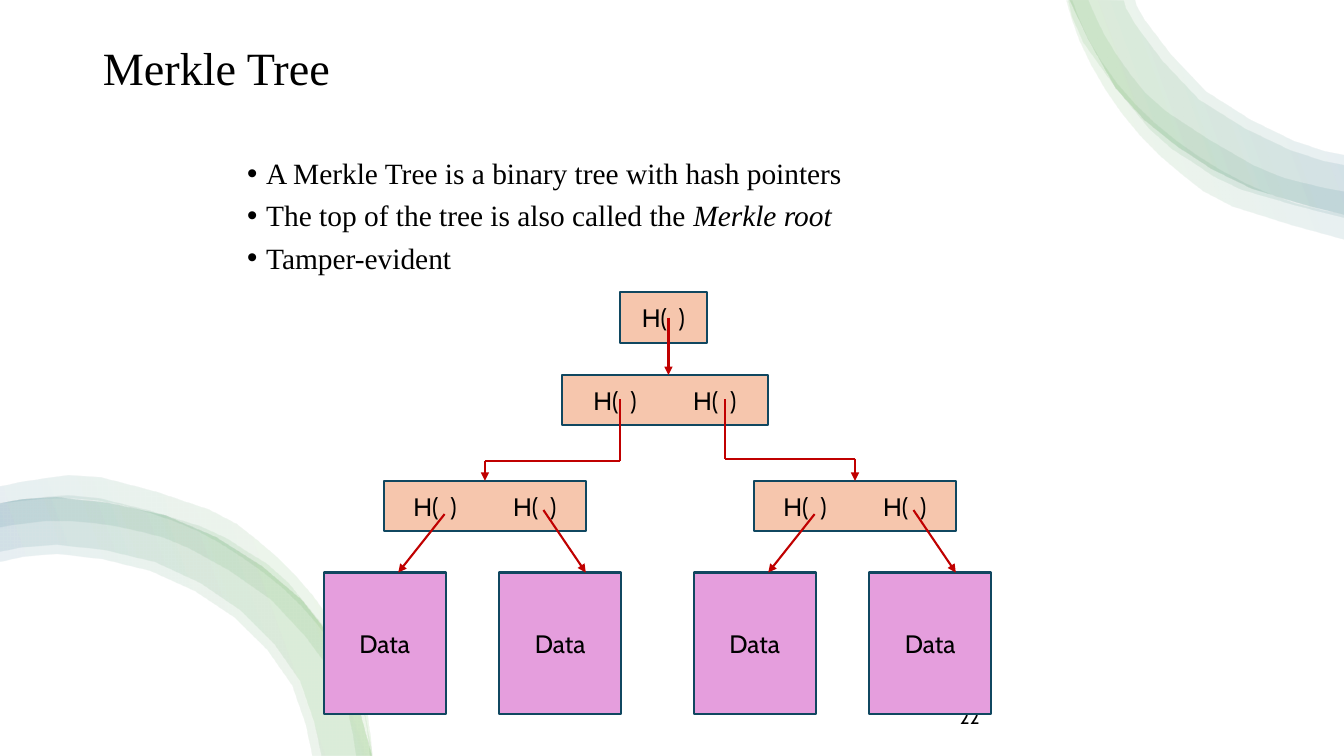
from lxml import etree
from pptx import Presentation
from pptx import util as u
from pptx.dml.color import RGBColor
from pptx.enum import shapes, text
from pptx.oxml import ns

BLACK = RGBColor(0x00, 0x00, 0x00)
HASH_FILL = RGBColor(0xF6, 0xC6, 0xAD)
DATA_FILL = RGBColor(0xE5, 0x9E, 0xDD)
BORDER = RGBColor(0x10, 0x47, 0x60)
POINTER = RGBColor(0xC0, 0x00, 0x00)
SWIRL_STOPS = [(2, "FFFFFF"), (16, "4EA72E"), (85, "156082"), (100, "FFFFFF")]
SERIF, SANS = "Times New Roman", "Cabin"
HASH = "H(  )"
HASH_HEIGHT, HASH_STEP, HASH_PAIR_WIDTH = 0.5, 0.99, 1.42

# Each swirl layer is an outer edge and an inner edge, both smooth
TOP_OUTER = [(10.61, 0), (11.07, 0.88), (11.67, 1.45), (12.41, 1.87), (13.33, 2.13)]
TOP_RIGHT_SWIRL = [
    ([(10.58, 0.01), (10.71, 0.41), (10.97, 0.9), (11.31, 1.35), (11.73, 1.74),
      (12.22, 2.05), (13.33, 2.38)],
     [(13.33, 2.13), (12.85, 2.02), (12.35, 1.82), (11.88, 1.55), (11.45, 1.22),
      (11.08, 0.83), (10.79, 0.38), (10.64, 0.01)]),
    (TOP_OUTER,
     [(13.33, 1.54), (12.83, 1.4), (11.96, 0.91), (11.36, 0.21), (11.26, 0)]),
    ([(10.6, 0.01), (10.75, 0.43), (11.4, 1.28), (11.83, 1.61), (12.31, 1.88),
      (13.33, 2.16)],
     [(13.33, 1.9), (12.91, 1.81), (12.43, 1.64), (11.57, 1.11), (11.22, 0.75),
      (10.95, 0.34), (10.8, 0.01)]),
    (TOP_OUTER,
     [(13.33, 1.64), (12.79, 1.49), (11.89, 0.99), (11.27, 0.26), (11.15, 0.01)]),
]
BOTTOM_OUTER = [(3.68, 7.5), (3.31, 6.37), (2.59, 5.62), (1.64, 5.12),
                (0.56, 4.94), (0, 5)]
BOTTOM_LEFT_SWIRL = [
    (BOTTOM_OUTER,
     [(0, 5.58), (0.56, 5.5), (1.49, 5.67), (2.32, 6.13), (2.89, 6.8), (3.09, 7.5)]),
    (BOTTOM_OUTER,
     [(0, 5.48), (0.56, 5.41), (1.53, 5.58), (2.38, 6.06), (2.97, 6.76), (3.18, 7.5)]),
    ([(3.68, 7.5), (3.63, 7.06), (3.46, 6.59), (2.85, 5.78), (2.44, 5.47),
      (1.98, 5.22), (0.97, 4.94), (0.44, 4.93), (0, 4.99)],
     [(0, 5.23), (0.45, 5.17), (0.94, 5.19), (1.41, 5.28), (1.87, 5.44),
      (2.68, 5.95), (3.28, 6.67), (3.45, 7.1), (3.52, 7.5)]),
    ([(3.69, 7.5), (3.5, 6.61), (3.26, 6.14), (2.93, 5.72), (2.53, 5.35),
      (2.07, 5.06), (1, 4.74), (0.43, 4.75), (0, 4.83)],
     [(0, 5), (0.45, 4.95), (0.97, 4.97), (1.47, 5.09), (1.95, 5.27),
      (2.39, 5.53), (2.8, 5.84), (3.15, 6.21), (3.43, 6.64), (3.61, 7.11),
      (3.66, 7.5)]),
]


def add_xml(parent, tag, **attributes):
    return etree.SubElement(parent, ns.qn(tag), **attributes)


def write(paragraph, words, size=18, font=SANS, italic=False):
    run = paragraph.add_run()
    run.text = words
    run.font.size, run.font.name, run.font.italic = u.Pt(size), font, italic
    run.font.color.rgb = BLACK


def place(part, left, top, width, height):
    part.left, part.top = u.Inches(left), u.Inches(top)
    part.width, part.height = u.Inches(width), u.Inches(height)


def smooth(knots):
    """The knots, with the middle of a Catmull-Rom curve between each two."""
    padded = [knots[0], *knots, knots[-1]]
    points = []
    for a, b, c, d in zip(padded, padded[1:], padded[2:], padded[3:]):
        middle = tuple((9 * (q + r) - p - s) / 16 for p, q, r, s in zip(a, b, c, d))
        points += [b, middle]
    return points + [knots[-1]]


def add_swirl(slide, layers, angle):
    for outer, inner in layers:
        outline = [(u.Inches(x), u.Inches(y)) for x, y in smooth(outer) + smooth(inner)]
        builder = slide.shapes.build_freeform(*outline[0])
        builder.add_line_segments(outline[1:], close=True)
        band = builder.convert_to_shape()
        band.shadow.inherit = False
        band.line.fill.background()
        band.fill.gradient()
        band.fill.gradient_angle = angle
        stops = next(band._element.iter(ns.qn("a:gsLst")))
        for stop in list(stops):
            stops.remove(stop)
        for position, colour in SWIRL_STOPS:
            stop = add_xml(stops, "a:gs", pos=str(position * 1000))
            add_xml(add_xml(stop, "a:srgbClr", val=colour), "a:alpha", val="10000")


def add_heading(slide, left, top, width, height):
    title = slide.shapes.title
    place(title, left, top, width, height)
    title.text_frame.vertical_anchor = text.MSO_ANCHOR.TOP
    title.text_frame.auto_size = text.MSO_AUTO_SIZE.NONE
    heading = title.text_frame.paragraphs[0]
    heading.alignment, heading.line_spacing = text.PP_ALIGN.LEFT, 0.9
    write(heading, "Merkle Tree", size=33, font=SERIF)


def add_points(slide, left, top, width, height):
    body = slide.placeholders[1]
    place(body, left, top, width, height)
    frame = body.text_frame
    frame.auto_size = text.MSO_AUTO_SIZE.NONE
    points = [
        [("A Merkle Tree is a binary tree with hash pointers", False)],
        [("The top of the tree is also called the ", False), ("Merkle root", True)],
        [("Tamper-evident", False)],
    ]
    for index, point in enumerate(points):
        paragraph = frame.add_paragraph() if index else frame.paragraphs[0]
        paragraph.line_spacing, paragraph.space_before = 0.9, u.Pt(7.5)
        properties = paragraph._p.get_or_add_pPr()
        properties.set("marL", str(u.Inches(0.19)))
        properties.set("indent", str(-u.Inches(0.19)))
        add_xml(properties, "a:buFont", typeface="Arial")
        add_xml(properties, "a:buChar", char="•")
        for words, italic in point:
            write(paragraph, words, size=21, font=SERIF, italic=italic)


def add_page_number(slide, left, top, width, height):
    number = slide.shapes.add_textbox(*map(u.Inches, (left, top, width, height)))
    number.text_frame.word_wrap = True
    write(number.text_frame.paragraphs[0], "22", size=13.5)


def add_node(slide, left, top, width, height, words, fill):
    node = slide.shapes.add_shape(
        shapes.MSO_SHAPE.RECTANGLE, *map(u.Inches, (left, top, width, height)))
    node.shadow.inherit = False
    node.fill.solid()
    node.fill.fore_color.rgb = fill
    node.line.color.rgb, node.line.width = BORDER, u.Pt(1.5)
    node.text_frame.vertical_anchor = text.MSO_ANCHOR.MIDDLE
    label = node.text_frame.paragraphs[0]
    label.alignment = text.PP_ALIGN.CENTER
    write(label, words)
    return node


def add_hash_pair(slide, left, top, width):
    pair = add_node(slide, left, top, width, HASH_HEIGHT, f"{HASH}\t{HASH}", HASH_FILL)
    pair.text_frame.margin_left = u.Inches((width - HASH_PAIR_WIDTH) / 2)
    label = pair.text_frame.paragraphs[0]
    label.alignment = text.PP_ALIGN.LEFT
    tabs = add_xml(label._p.get_or_add_pPr(), "a:tabLst")
    add_xml(tabs, "a:tab", pos=str(u.Inches(HASH_STEP)), algn="l")


def add_pointer(slide, *stops):
    """Straight pieces from stop to stop, with an arrowhead at the last one."""
    for start, end in zip(stops, stops[1:]):
        piece = slide.shapes.add_connector(
            shapes.MSO_CONNECTOR.STRAIGHT, *map(u.Inches, (*start, *end)))
        piece.line.color.rgb, piece.line.width = POINTER, u.Pt(1.5)
        if end == stops[-1]:
            add_xml(piece.line._get_or_add_ln(), "a:tailEnd", type="triangle")
        add_xml(piece._element.spPr, "a:effectLst")


def add_branch(slide, left, top):
    """A hash pair that points to two data blocks."""
    data_top = top + 0.91
    for offset in (0, 1.74):
        add_node(slide, left + offset, data_top, 1.21, 1.4, "Data", DATA_FILL)
    add_hash_pair(slide, left + 0.6, top, 2)
    add_pointer(slide, (left + 1.2, top + 0.33), (left + 0.74, data_top))
    add_pointer(slide, (left + 2.18, top + 0.29), (left + 2.6, data_top))


def add_tree(slide, left, top):
    middle, branches = top + 0.82, top + 1.87
    for offset in (0, 3.67):
        add_branch(slide, left + offset, branches)
    add_hash_pair(slide, left + 2.36, middle, 2.05)
    add_node(slide, left + 2.94, top, 0.86, HASH_HEIGHT, HASH, HASH_FILL)
    add_pointer(slide, (left + 3.42, top + 0.25), (left + 3.42, middle))
    for start, end, bend in ((2.94, 1.6, 1.67), (3.98, 5.27, 1.65)):
        add_pointer(slide, (left + start, middle + 0.24), (left + start, top + bend),
                    (left + end, top + bend), (left + end, branches))


def main():
    deck = Presentation()
    deck.slide_width, deck.slide_height = u.Inches(13.33), u.Inches(7.5)
    slide = deck.slides.add_slide(deck.slide_layouts[1])
    add_swirl(slide, TOP_RIGHT_SWIRL, angle=20)
    add_swirl(slide, BOTTOM_LEFT_SWIRL, angle=200)
    add_heading(slide, 0.92, 0.4, 11.5, 1.45)
    add_points(slide, 2.35, 1.53, 8.62, 5.23)
    add_page_number(slide, 9.42, 6.95, 2.25, 0.4)
    add_tree(slide, 3.21, 2.9)
    deck.save("out.pptx")


if __name__ == "__main__":
    main()
